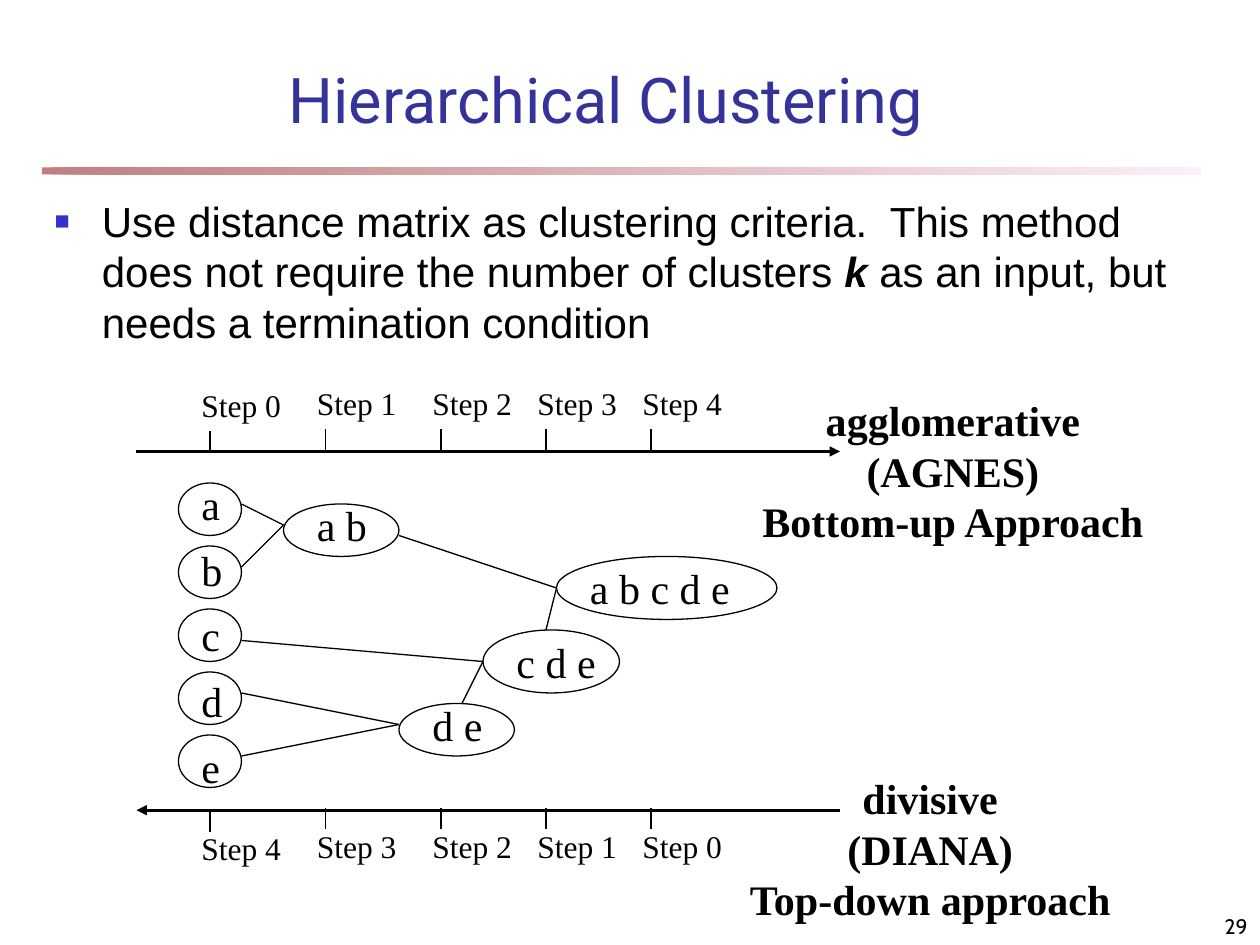
import pptx
import pptx.util
import pptx.dml.color
import pptx.enum.shapes
import pptx.enum.text
import pptx.oxml
import pptx.oxml.ns
from lxml import etree

Pt = pptx.util.Pt
qn = pptx.oxml.ns.qn
ALIGN = pptx.enum.text.PP_ALIGN
ANCHOR = pptx.enum.text.MSO_ANCHOR
SHAPE = pptx.enum.shapes.MSO_SHAPE
COLORS = {"title": "333399", "text": "000000", "bullet": "3333CC",
          "bar_start": "800000", "bar_end": "FAE2F6"}
SERIF = "Times New Roman"
STEP_X = [120, 186, 252, 312, 372]
CLUSTERS = [
    ("a b", (162, 288, 66, 30), (174, 282, 45)),
    ("d e", (228, 402, 66, 30), (240, 396, 45)),
    ("c d e", (276, 360, 78, 36), (288, 360, 62)),
    ("a b c d e", (318, 318, 126, 36), (330, 318, 98)),
]
LINKS = [
    (138, 288, 162, 300), (138, 324, 162, 300),
    (138, 396, 228, 414), (138, 432, 228, 414),
    (138, 366, 276, 378), (264, 402, 276, 378),
    (228, 306, 318, 336), (312, 360, 318, 336),
]


def rgb(name):
    return pptx.dml.color.RGBColor.from_string(COLORS[name])


def add_run(p, text, size=24, font=SERIF, color="text", bold=False, italic=False):
    r = p.add_run()
    r.text = text
    r.font.size = Pt(size)
    r.font.name = font
    r.font.bold = bold
    r.font.italic = italic
    r.font.color.rgb = rgb(color)


def place(sp, x, y, w, h):
    sp.left, sp.top, sp.width, sp.height = Pt(x), Pt(y), Pt(w), Pt(h)


def add_text(s, lines, x, y, w, h, wrap=True, align=ALIGN.LEFT,
             anchor=ANCHOR.TOP, spacing=None, **fmt):
    tf = s.shapes.add_textbox(Pt(x), Pt(y), Pt(w), Pt(h)).text_frame
    tf.word_wrap = wrap
    tf.vertical_anchor = anchor
    for i, line in enumerate(lines):
        p = tf.add_paragraph() if i else tf.paragraphs[0]
        p.alignment = align
        if spacing:
            p.line_spacing = Pt(spacing)
        add_run(p, line, **fmt)


def add_line(s, x1, y1, x2, y2, width=0.75, arrow=False):
    c = s.shapes.add_connector(pptx.enum.shapes.MSO_CONNECTOR.STRAIGHT,
                               Pt(x1), Pt(y1), Pt(x2), Pt(y2))
    c.line.color.rgb = rgb("text")
    c.line.width = Pt(width)
    spPr = c._element.spPr
    if arrow:
        etree.SubElement(spPr.find(qn("a:ln")), qn("a:tailEnd"), type="triangle")
    etree.SubElement(spPr, qn("a:effectLst"))


def add_ellipse(s, x, y, w, h):
    sp = s.shapes.add_shape(SHAPE.OVAL, Pt(x), Pt(y), Pt(w), Pt(h))
    sp.shadow.inherit = False
    sp.fill.background()
    sp.line.color.rgb = rgb("text")
    sp.line.width = Pt(0.75)


def add_bar(s):
    sp = s.shapes.add_shape(SHAPE.RECTANGLE, Pt(24), Pt(95.7), Pt(662), Pt(4))
    sp.shadow.inherit = False
    sp.line.fill.background()
    sp.fill.gradient()
    sp.fill.gradient_angle = 0
    for stop, name, pos in zip(sp.fill.gradient_stops, ("bar_start", "bar_end"), (0, 1)):
        stop.color.rgb = rgb(name)
        stop.position = pos
    for clr in sp._element.spPr.iter(qn("a:srgbClr")):
        etree.SubElement(clr, qn("a:alpha"), val="50000")


def set_title(s):
    sp = s.shapes.title
    place(sp, 59, 39, 574.5, 34.5)
    tf = sp.text_frame
    tf.auto_size = pptx.enum.text.MSO_AUTO_SIZE.NONE
    tf.vertical_anchor = ANCHOR.MIDDLE
    p = tf.paragraphs[0]
    p.alignment = ALIGN.CENTER
    add_run(p, "Hierarchical Clustering", size=36, font="Roboto", color="title")


def set_body(s):
    sp = s.placeholders[1]
    place(sp, 24, 108, 654, 96)
    tf = sp.text_frame
    tf.auto_size = pptx.enum.text.MSO_AUTO_SIZE.NONE
    p = tf.paragraphs[0]
    p.space_before = Pt(12)
    p.line_spacing = Pt(28.8)
    add_run(p, "Use distance matrix as clustering criteria.  This method does not "
               "require the number of clusters ", font="Arial")
    add_run(p, "k", font="Arial", bold=True, italic=True)
    add_run(p, " as an input, but needs a termination condition", font="Arial")
    pPr = p._p.get_or_add_pPr()
    pPr.set("marL", str(Pt(27)))
    pPr.set("indent", str(-Pt(27)))
    clr = etree.SubElement(pPr, qn("a:buClr"))
    etree.SubElement(clr, qn("a:srgbClr"), val=COLORS["bullet"])
    etree.SubElement(pPr, qn("a:buSzPct"), val="60000")
    etree.SubElement(pPr, qn("a:buFont"), typeface="Arial")
    etree.SubElement(pPr, qn("a:buChar"), char="■")


def add_steps(s, steps, tick_y, label_y):
    for i, (step, x) in enumerate(zip(steps, STEP_X)):
        drop = 0 if i else 1.2
        add_line(s, x, tick_y + drop, x, tick_y + 12 + drop)
        add_text(s, [f"Step {step}"], x - 12, label_y + drop, 60, 29, size=18)


def add_clusters(s):
    for i, letter in enumerate("abcde"):
        add_text(s, [letter], 108, 270 + 37.5 * i, 28, 36, wrap=False)
        add_ellipse(s, 102, 276 + 36 * i, 36, 30)
    for label, box, (x, y, w) in CLUSTERS:
        add_text(s, [label], x, y, w, 36, wrap=False)
        add_ellipse(s, *box)
    for link in LINKS:
        add_line(s, *link)


def add_caption(s, lines, x, y, w):
    add_text(s, lines, x, y, w, 94.3, wrap=False, align=ALIGN.CENTER,
             spacing=28.8, bold=True)


def main():
    prs = pptx.Presentation()
    prs.slide_width, prs.slide_height = Pt(720), Pt(540)
    s = prs.slides.add_slide(prs.slide_layouts[1])
    add_bar(s)
    set_title(s)
    set_body(s)
    add_line(s, 78, 258, 480, 258, width=1.5, arrow=True)
    add_steps(s, range(5), 245, 216)
    add_clusters(s)
    add_line(s, 480, 463, 78, 463, width=1.5, arrow=True)
    add_steps(s, reversed(range(5)), 462, 469.2)
    add_caption(s, ["agglomerative", "(AGNES)", "Bottom-up Approach"], 427, 222, 235)
    add_caption(s, ["divisive", "(DIANA)", "Top-down approach"], 420, 438, 223)
    add_text(s, ["29"], 570, 510, 150, 30, align=ALIGN.RIGHT,
             anchor=ANCHOR.BOTTOM, size=12, font="Cabin")
    prs.save("out.pptx")


if __name__ == "__main__":
    main()
